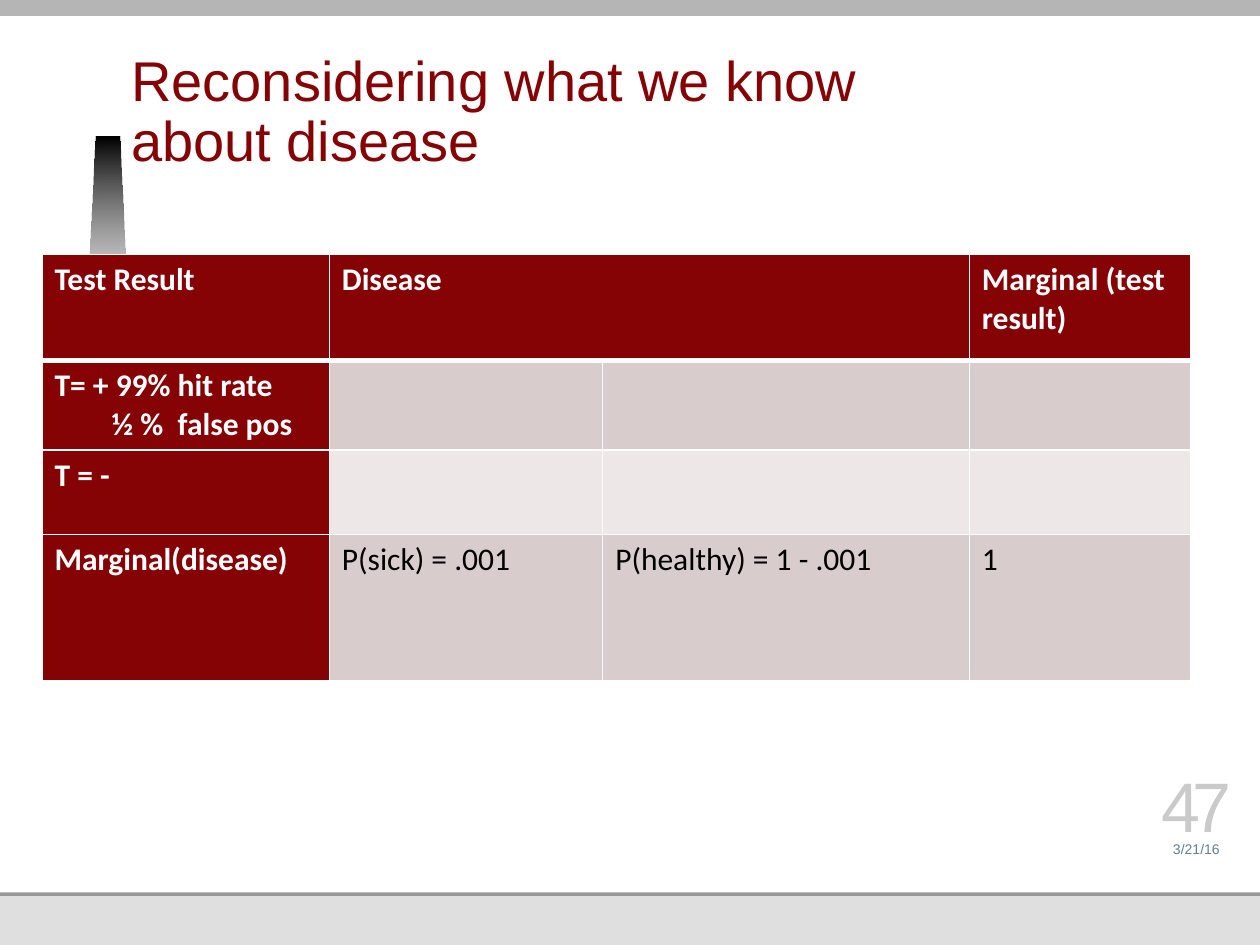
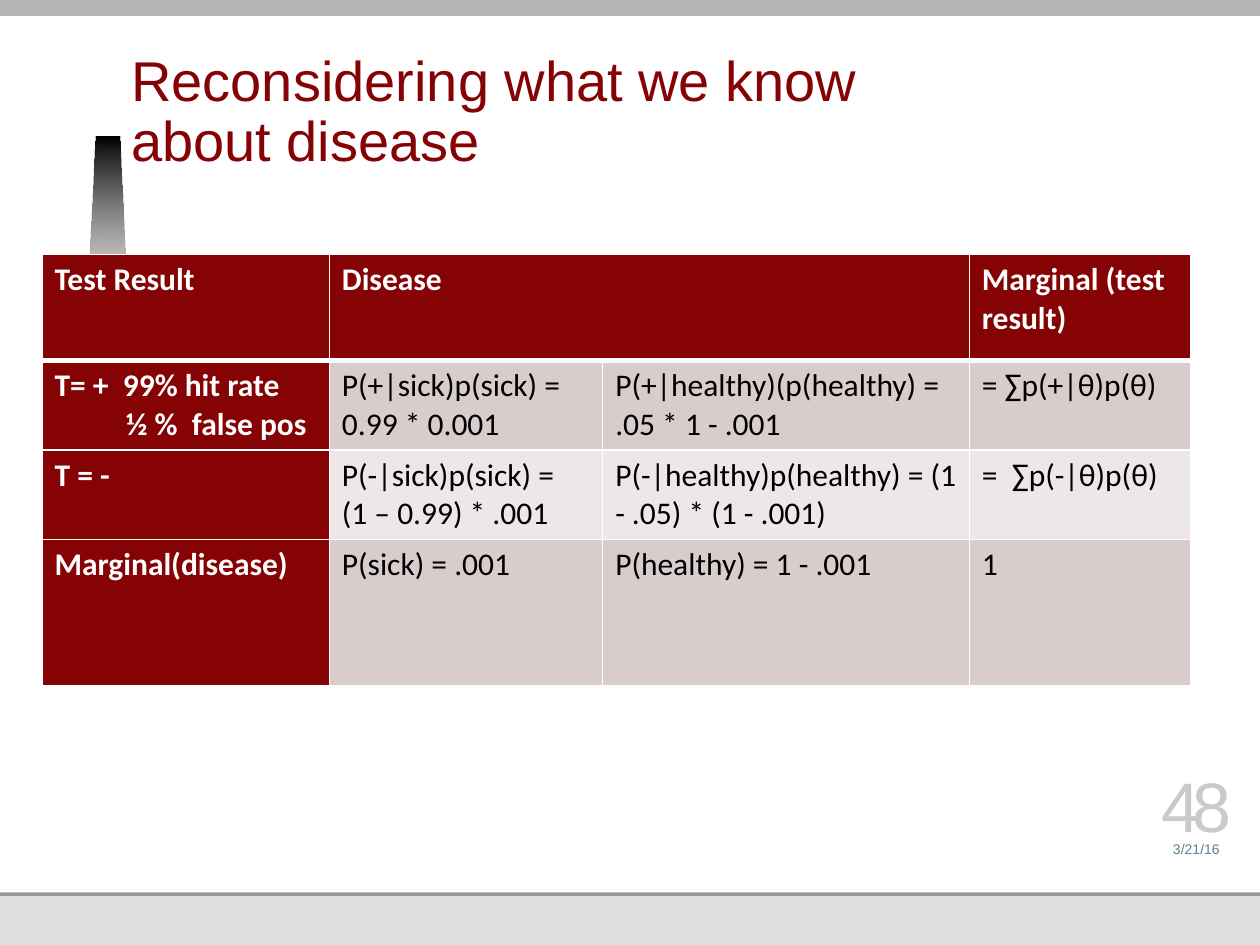
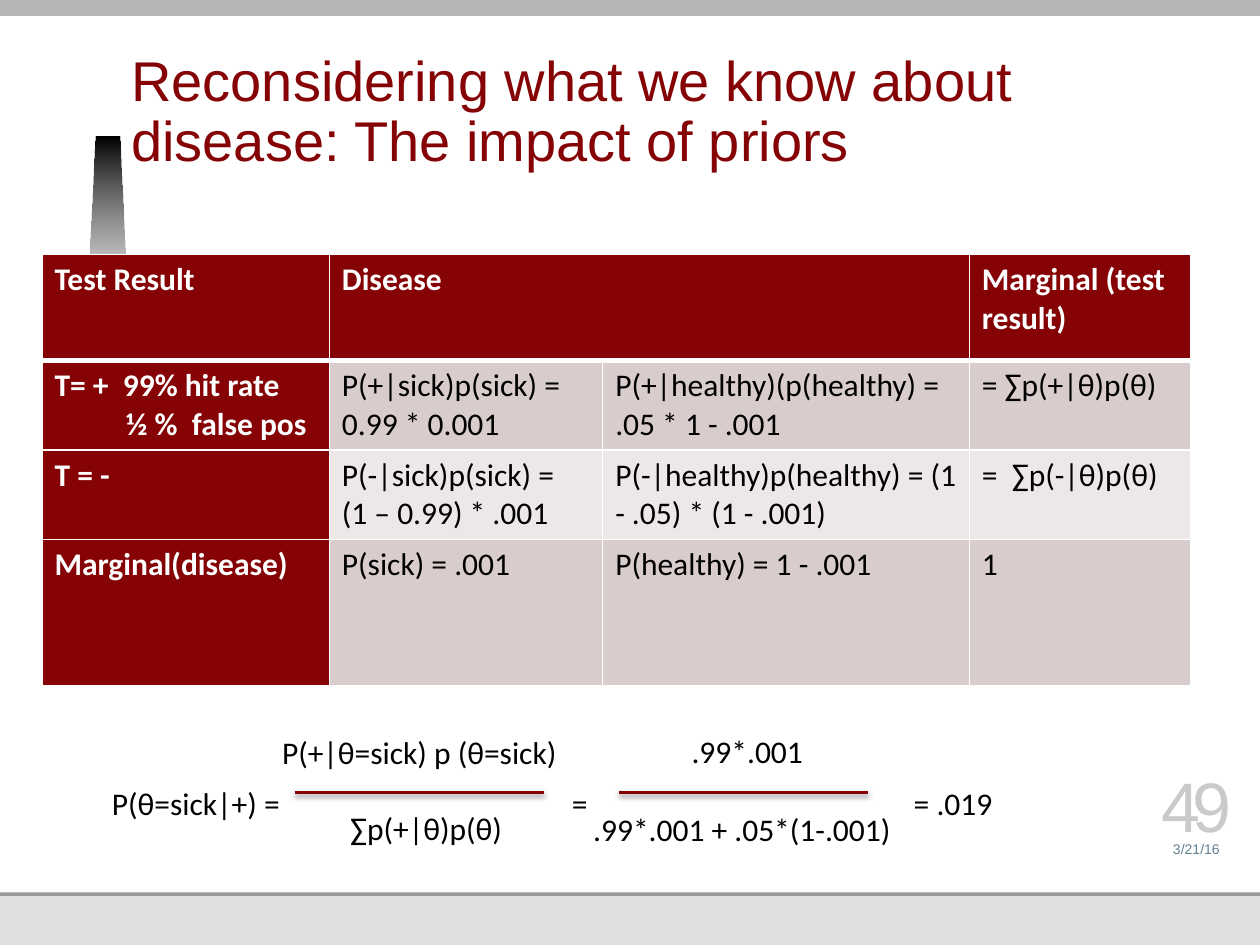
from lxml.etree import SubElement
from pptx import Presentation
from pptx.dml.color import RGBColor
from pptx.enum.shapes import MSO_CONNECTOR, MSO_SHAPE
from pptx.enum.text import MSO_ANCHOR, MSO_AUTO_SIZE, PP_ALIGN
from pptx.oxml import parse_xml
from pptx.oxml.ns import nsdecls, qn
from pptx.util import Pt

COLORS = {
    "maroon": "850205", "white": "FFFFFF", "black": "000000",
    "row_dark": "D9CCCC", "row_light": "EDE7E7",
    "footer_band": "DFDFDF", "footer_rule": "989898", "top_band": "B5B5B5",
    "date": "618091", "number": "CACACA",
}


def rgb(name):
    return RGBColor.from_string(COLORS[name])


def write(frame, text, *, size=18, color="black", font="Calibri", bold=False,
          align=PP_ALIGN.LEFT, anchor=MSO_ANCHOR.TOP, margins=(7.2, 3.6, 7.2, 3.6),
          wrap=True, line_spacing=None, tracking=None, later_indent=0, tabs=()):
    """Fill a text frame; later_indent moves every paragraph after the first."""
    frame.vertical_anchor = anchor
    frame.margin_left, frame.margin_top, frame.margin_right, frame.margin_bottom = map(Pt, margins)
    frame.word_wrap = wrap
    for index, line in enumerate(text.split("\n")):
        paragraph = frame.paragraphs[0] if index == 0 else frame.add_paragraph()
        paragraph.text = line
        paragraph.alignment = align
        if line_spacing:
            paragraph.line_spacing = Pt(line_spacing)
        properties = paragraph._p.get_or_add_pPr()
        if index and later_indent:
            properties.set("marL", str(Pt(later_indent)))
        if tabs:
            tab_list = SubElement(properties, qn("a:tabLst"))
            for position in tabs:
                SubElement(tab_list, qn("a:tab"), pos=str(Pt(position)), algn="l")
        for run in paragraph.runs:
            run.font.name, run.font.size, run.font.bold = font, Pt(size), bold
            run.font.color.rgb = rgb(color)
            if tracking:
                run.font._element.set("spc", str(tracking * 100))


HEADER = ["Test Result", "Disease", "", "Marginal (test result)"]
MARGINAL = ["Marginal(disease)", "P(sick) = .001", "P(healthy) = 1 - .001", "1"]
PRIOR_ROWS = [
    HEADER,
    ["T= + 99% hit rate\n½ %  false pos", "", "", ""],
    ["T = -", "", "", ""],
    MARGINAL,
]
JOINT_ROWS = [
    HEADER,
    ["T= +  99% hit rate\n½ %  false pos", "P(+|sick)p(sick) = 0.99 * 0.001",
     "P(+|healthy)(p(healthy) =  .05 * 1 - .001", "= ∑p(+|θ)p(θ)"],
    ["T = -", "P(-|sick)p(sick) = \v(1 – 0.99) * .001",
     "P(-|healthy)p(healthy) = (1 - .05) * (1 - .001)", "=  ∑p(-|θ)p(θ)"],
    MARGINAL,
]
TITLE = "Reconsidering what we know about disease"
# title, title width, table rows, indent of the false positive line
CONTENT = [
    (TITLE, 494.6, PRIOR_ROWS, 32.5),
    (TITLE, 494.6, JOINT_ROWS, 40.7),
    (TITLE + ": The impact of priors", 543.6, JOINT_ROWS, 40.7),
]
FIRST_NUMBER = 47
COLUMN_WIDTHS = [164.2, 156.2, 209.5, 126.7]
ROW_HEIGHTS = [60.5, 48.2, 48.2, 83.5]

presentation = Presentation()
presentation.slide_width, presentation.slide_height = Pt(720), Pt(540)
layout = presentation.slide_layouts[5]
slides = [presentation.slides.add_slide(layout) for _ in CONTENT]

# Bands and tapered bar, drawn once and moved to the shared layout
shapes = slides[0].shapes
backdrop = []
for color, left, top, width, height in [
    ("footer_band", 0, 0, 720, 540),
    ("footer_rule", 0, 128, 720, 384),
    ("white", 0, 0, 720, 510),
    ("top_band", 0, -3, 732, 12.2),
]:
    band = shapes.add_shape(MSO_SHAPE.RECTANGLE, Pt(left), Pt(top), Pt(width), Pt(height))
    band.fill.solid()
    band.fill.fore_color.rgb = rgb(color)
    backdrop.append(band)

builder = shapes.build_freeform(Pt(48), Pt(219.5))
builder.add_line_segments([(Pt(x), Pt(y)) for x, y in [(54.7, 78), (68.4, 78), (75.1, 219.5)]])
tapered_bar = builder.convert_to_shape()
tapered_bar.fill.gradient()
tapered_bar.fill.gradient_angle = 270
for stop, color in zip(tapered_bar.fill.gradient_stops, ["black", "white"]):
    stop.color.rgb = rgb(color)
end_color = tapered_bar._element.xpath(".//a:gs/a:srgbClr")[1]
SubElement(end_color, qn("a:alpha"), val="0")
backdrop.append(tapered_bar)

for index, shape in enumerate(backdrop):
    shape.line.fill.background()
    shape.shadow.inherit = False
    shape._element.xpath("./p:nvSpPr/p:cNvPr")[0].set("id", str(100 + index))
    layout.shapes.element.insert(2 + index, shape._element)

for number, (slide, content) in enumerate(zip(slides, CONTENT), FIRST_NUMBER):
    title_text, title_width, rows, false_positive_indent = content
    title = slide.shapes.title
    title.left, title.top, title.width, title.height = Pt(75), Pt(24.5), Pt(title_width), Pt(77.8)
    title.text_frame.auto_size = MSO_AUTO_SIZE.NONE
    write(title.text_frame, title_text, size=32, color="maroon", font="Arial",
          anchor=MSO_ANCHOR.BOTTOM, margins=(0, 0, 0, 3.6), line_spacing=34)

    table = slide.shapes.add_table(len(rows), len(COLUMN_WIDTHS), Pt(24), Pt(145.5),
                                   Pt(sum(COLUMN_WIDTHS)), Pt(sum(ROW_HEIGHTS))).table
    for column, width in zip(table.columns, COLUMN_WIDTHS):
        column.width = Pt(width)
    for row, height in zip(table.rows, ROW_HEIGHTS):
        row.height = Pt(height)
    table.cell(0, 1).merge(table.cell(0, 2))
    for row_index, texts in enumerate(rows):
        for column_index, text in enumerate(texts):
            cell = table.cell(row_index, column_index)
            heading = row_index == 0 or column_index == 0
            if text:
                write(cell.text_frame, text, color="white" if heading else "black",
                      bold=heading, later_indent=false_positive_indent)
            borders = cell._tc.get_or_add_tcPr()
            for side in ("lnL", "lnR", "lnT", "lnB"):
                thick = (row_index, side) in [(0, "lnB"), (1, "lnT")]
                borders.append(parse_xml(
                    f'<a:{side} {nsdecls("a")} w="{Pt(3 if thick else 1)}"><a:solidFill>'
                    f'<a:srgbClr val="{COLORS["white"]}"/></a:solidFill></a:{side}>'))
            cell.fill.solid()
            cell.fill.fore_color.rgb = rgb(
                "maroon" if heading else "row_dark" if row_index % 2 else "row_light")

    for text, top, height, style in [
        ("3/21/16", 473.8, 15.8, {"size": 8, "color": "date"}),
        (str(number), 443.5, 40.3, {"size": 40, "color": "number", "tracking": -5}),
    ]:
        box = slide.shapes.add_textbox(Pt(657.4), Pt(top), Pt(52.6), Pt(height))
        write(box.text_frame, text, font="Arial", align=PP_ALIGN.CENTER,
              anchor=MSO_ANCHOR.BOTTOM, margins=(0, 0, 0, 0), **style)

# Bayes' rule worked out below the last table
slide = slides[-1]
for text, left, top, width, style in [
    ("P(θ=sick|+) =\t=\t= .019", 56.9, 444.2, 523.4, {"tabs": (262.8, 458.2)}),
    ("P(+|θ=sick) p (θ=sick)", 154.1, 415.4, 172.8, {"wrap": False}),
    ("∑p(+|θ)p(θ)", 193, 458.6, 102.2, {"wrap": False}),
    (".99*.001", 388.1, 414.7, 78.5, {"wrap": False}),
    (".99*.001 + .05*(1-.001)", 331.9, 459.4, 186.5, {"wrap": False}),
]:
    box = slide.shapes.add_textbox(Pt(left), Pt(top), Pt(width), Pt(29))
    write(box.text_frame, text, **style)

for left in (168.5, 353.5):
    fraction_bar = slide.shapes.add_connector(
        MSO_CONNECTOR.STRAIGHT, Pt(left), Pt(452.9), Pt(left + 142.5), Pt(452.9))
    fraction_bar.line.color.rgb = rgb("maroon")
    fraction_bar.line.width = Pt(2)
    fraction_bar._element.spPr.append(parse_xml(
        f'<a:effectLst {nsdecls("a")}><a:outerShdw blurRad="{Pt(3.1)}" dist="{Pt(1.6)}" '
        f'dir="5400000" rotWithShape="0"><a:srgbClr val="{COLORS["black"]}">'
        '<a:alpha val="38000"/></a:srgbClr></a:outerShdw></a:effectLst>'))

presentation.save("out.pptx")
